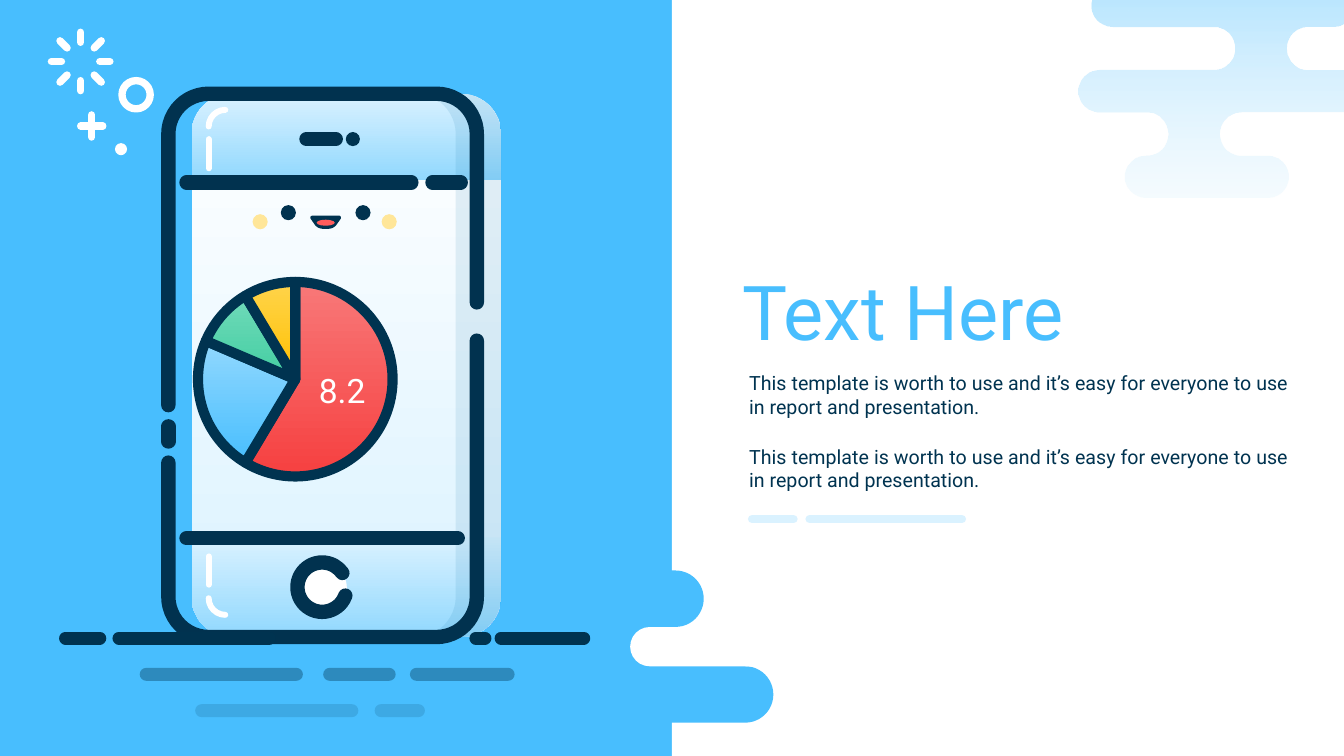
from dataclasses import dataclass
from math import atan2, cos, hypot, pi, radians, remainder, sin, tan

from lxml import etree
from pptx import Presentation
from pptx.chart.data import CategoryChartData
from pptx.dml.color import RGBColor
from pptx.enum.chart import XL_CHART_TYPE as ChartType, XL_LABEL_POSITION as LabelPosition
from pptx.enum.shapes import MSO_CONNECTOR as Connector, MSO_SHAPE as Shape
from pptx.enum.text import MSO_ANCHOR as Anchor, MSO_AUTO_SIZE as AutoSize, PP_ALIGN as Align
from pptx.oxml import parse_xml
from pptx.oxml.ns import nsdecls, qn
from pptx.util import Inches, Pt

WIDTH, HEIGHT = 13.33, 7.5
FONT = "Roboto"
WHITE, SKY, PALE, AZURE = "FFFFFF", "48BEFE", "DAF2FF", "91D8FE"
NAVY, INK = "01324F", "003350"


def colour(text):
    return RGBColor.from_string(text)


def set_alpha(element, percent):
    for tag in element.iter(qn("a:srgbClr")):
        etree.SubElement(tag, qn("a:alpha"), val=str(percent * 1000))


def paint(fill, paints):
    """Fill with one hex colour, or with a (top, bottom) gradient."""
    if isinstance(paints, str):
        fill.solid()
        fill.fore_color.rgb = colour(paints)
        return
    fill.gradient()
    fill.gradient_angle = 270
    for stop, paint_hex in zip(fill.gradient_stops, paints):
        stop.color.rgb = colour(paint_hex)


def round_corners(corners, steps=12):
    """Turn (x, y, radius) corners into points along a rounded outline."""
    points = []
    for i, (x, y, radius) in enumerate(corners):
        if not radius:
            points.append((x, y))
            continue
        before, after = corners[i - 1], corners[(i + 1) % len(corners)]
        a = atan2(before[1] - y, before[0] - x)
        turn = remainder(atan2(after[1] - y, after[0] - x) - a, 2 * pi)
        half = turn / 2
        reach = radius / abs(sin(half))
        cx, cy = x + reach * cos(a + half), y + reach * sin(a + half)
        tangent = radius / abs(tan(half))
        start = atan2(y + tangent * sin(a) - cy, x + tangent * cos(a) - cx)
        sweep = (pi - abs(turn)) * (-1 if turn > 0 else 1)
        angles = [start + sweep * k / steps for k in range(steps + 1)]
        points += [(cx + radius * cos(t), cy + radius * sin(t)) for t in angles]
    return points


@dataclass
class Region:
    """Drawing area whose lengths are inches from its own top left corner."""
    page: object
    left: float
    top: float

    def place(self, x, y):
        return Inches(self.left + x), Inches(self.top + y)

    def solid(self, shape, paints):
        shape.shadow.inherit = False
        paint(shape.fill, paints)
        shape.line.fill.background()
        return shape

    def preset(self, kind, x, y, width, height, paints):
        shape = self.page.shapes.add_shape(kind, *self.place(x, y), Inches(width), Inches(height))
        return self.solid(shape, paints)

    def pill(self, x, y, width, height, paints):
        self.preset(Shape.ROUNDED_RECTANGLE, x, y, width, height, paints).adjustments[0] = 0.5

    def oval(self, cx, cy, width, paints, height=None):
        height = height or width
        return self.preset(Shape.OVAL, cx - width / 2, cy - height / 2, width, height, paints)

    def freeform(self, corners, close):
        first, *rest = [self.place(x, y) for x, y in round_corners(corners)]
        builder = self.page.shapes.build_freeform(*first)
        builder.add_line_segments(rest, close=close)
        return builder.convert_to_shape()

    def outline(self, corners, paints):
        return self.solid(self.freeform(corners, True), paints)

    def ink(self, shape, paint_hex, points, alpha=None):
        """Give a shape a round-ended line and no fill."""
        shape.line.color.rgb = colour(paint_hex)
        shape.line.width = Pt(points)
        line = shape.element.spPr.find(qn("a:ln"))
        line.set("cap", "rnd")
        if alpha:
            set_alpha(line, alpha)

    def stroke(self, corners, paint_hex, points):
        shape = self.freeform(corners, False)
        shape.shadow.inherit = False
        shape.fill.background()
        self.ink(shape, paint_hex, points)

    def line(self, x1, y1, x2, y2, paint_hex, points, alpha=None):
        shape = self.page.shapes.add_connector(
            Connector.STRAIGHT, *self.place(x1, y1), *self.place(x2, y2))
        self.ink(shape, paint_hex, points, alpha)
        etree.SubElement(shape.element.spPr, qn("a:effectLst"))

    def arc(self, x, y, size, start, end, paint_hex, points):
        shape = self.preset(Shape.ARC, x, y, size, size, WHITE)
        shape.fill.background()
        shape.adjustments[0], shape.adjustments[1] = start * 0.6, end * 0.6
        self.ink(shape, paint_hex, points)


def draw_backdrop(page):
    page.background.fill.solid()
    page.background.fill.fore_color.rgb = colour(SKY)
    half = Region(page, WIDTH / 2, 0)
    half.preset(Shape.RECTANGLE, 0, 0, WIDTH / 2, HEIGHT, WHITE)
    draw_cloud(Region(page, 10.7, -0.15))
    wave = Region(page, 5.65, 5.66)
    wave.pill(0, 0.95, 2.02, 0.56, SKY)
    wave.pill(0.6, 0.56, 2.02, 0.39, WHITE)
    wave.pill(0, 0, 1.33, 0.56, SKY)


def draw_cloud(area):
    bars = [(0.13, 2.73), (1.55, 2.06), (0, 3.22), (0.89, 1.4), (0.46, 2.08)]
    row = 2.11 / len(bars)
    right = [(end, row * (i + k), row / 2) for i, (_, end) in enumerate(bars) for k in (0, 1)]
    left = [(start, row * (i + k), row / 2) for i, (start, _) in enumerate(bars) for k in (0, 1)]
    cloud = area.outline(right + left[::-1], ("B6E5FF", PALE))
    set_alpha(cloud.element.findall(".//" + qn("a:gs"))[-1], 27)


def draw_phone(area):
    left, right, top, bottom, r = 0.3, 3.37, 0.07, 5.46, 0.4
    glass = [(top, bottom, r, r, (WHITE, PALE)), (4.47, bottom, 0, r, (PALE, AZURE)),
             (top, 0.93, r, 0, (PALE, AZURE))]
    for y1, y2, r1, r2, paints in glass:
        area.outline([(left, y1, r1), (right, y1, r1), (right, y2, r2), (left, y2, r2)], paints)
    shade = area.outline([(2.52, top, 0), (right, top, r), (right, bottom, r),
                          (2.52, bottom, 0), (2.92, bottom, r), (2.92, top, r)], "0169A2")
    set_alpha(shade.element.spPr, 10)

    near, far, thick = 0.07, 3.13, 10.25
    for y, start, end in ((top, 3.16, 2.14), (bottom, 3.73, 2.52)):
        area.stroke([(near, start, 0), (near, y, r), (far, y, r), (far, end, 0)], NAVY, thick)
    area.line(near, 3.37, near, 3.52, NAVY, thick)
    for x1, x2, y in ((0.25, 2.48, 0.95), (2.69, 2.97, 0.95), (0.25, 2.94, 4.48), (1.44, 1.73, 0.52)):
        area.line(x1, y, x2, y, NAVY, thick)
    area.oval(1.9, 0.52, 0.14, INK)
    area.oval(1.6, 4.97, 0.48, WHITE)
    area.arc(1.35, 4.72, 0.49, 20, 325, NAVY, thick)
    for y1, y2, arc_top, start in ((0.52, 0.81, 0.23, 180), (4.66, 4.94, 4.91, 90)):
        area.line(0.47, y1, 0.47, y2, WHITE, 4.25)
        area.arc(0.47, arc_top, 0.33, start, start + 90, WHITE, 4.25)

    for side in (-1, 1):
        area.oval(1.63 + side * 0.37, 1.25, 0.15, NAVY)
        area.oval(1.62 + side * 0.64, 1.34, 0.15, "FFE699")
    area.outline([(1.46, 1.28, 0.02), (1.8, 1.28, 0.02), (1.71, 1.41, 0.1), (1.55, 1.41, 0.1)], INK)
    area.oval(1.63, 1.35, 0.18, "FF5C5C", 0.06)


def draw_sparkles(area):
    for angle in range(0, 360, 45):
        dx, dy = cos(radians(angle)), sin(radians(angle))
        area.line(0.29 + 0.19 * dx, 0.3 + 0.19 * dy, 0.29 + 0.29 * dx, 0.3 + 0.29 * dy, WHITE, 5.25)
    area.line(0.29, 0.94, 0.51, 0.94, WHITE, 5.25)
    area.line(0.4, 0.83, 0.4, 1.05, WHITE, 5.25)
    ring = area.oval(0.84, 0.63, 0.28, WHITE)
    ring.fill.background()
    area.ink(ring, WHITE, 5.25)
    area.oval(0.69, 1.17, 0.12, WHITE)


def draw_ground(area):
    rows = [(0, None, [(0.53, 2.02), (0, 0.34), (4.07, 4.16), (4.32, 5.14)]),
            (0.36, 36, [(0.8, 2.29), (2.62, 3.21), (3.48, 4.39)]),
            (0.72, 15, [(1.35, 2.84), (3.13, 3.5)])]
    for y, alpha, dashes in rows:
        for start, end in dashes:
            area.line(start, y, end, y, INK, 9.25, alpha)


def draw_pie(area):
    data = CategoryChartData()
    data.categories = ["1", "2", "3", "4"]
    data.add_series("Series 1", (8.2, 3.2, 1.4, 1.2))
    chart = area.page.shapes.add_chart(
        ChartType.PIE, *area.place(0, 0), Inches(3.43), Inches(2.29), data).chart
    chart.has_legend = chart.has_title = False
    chart.font.size, chart.font.name = Pt(10), FONT
    chart.font.color.rgb = colour("000000")
    plot = chart.plots[0]
    plot.vary_by_categories = True
    slices = [("F87878", "F64040"), (AZURE, SKY), ("70DAB9", "43CEA2"), ("FFD44B", "FFC000")]
    for i, paints in enumerate(slices):
        style = plot.series[0].points[i].format
        paint(style.fill, paints)
        style.line.color.rgb = colour(INK)
        style.line.width = Pt(7.25)
    label = plot.series[0].points[0].data_label
    label.font.size, label.font.name = Pt(24), FONT
    label.font.color.rgb = colour(WHITE)
    label.position = LabelPosition.CENTER
    share = {"x": 0.144, "y": 0.06, "w": 0.563, "h": 0.843}
    spots = "".join(f'<c:{key} val="{value}"/>' for key, value in share.items())
    area_xml = chart.element.find(".//" + qn("c:plotArea"))
    for old in area_xml.findall(qn("c:layout")):
        area_xml.remove(old)
    area_xml.insert(0, parse_xml(
        f'<c:layout {nsdecls("c")}><c:manualLayout><c:layoutTarget val="inner"/>'
        f'<c:xMode val="edge"/><c:yMode val="edge"/>{spots}</c:manualLayout></c:layout>'))


def fill_text(area, box, y, width, height, lines, size, paint_hex, align, gap=0):
    box.left, box.top = area.place(0, y)
    box.width, box.height = Inches(width), Inches(height)
    box.element.getparent().append(box.element)
    frame = box.text_frame
    frame.text = "\n".join(lines)
    frame.auto_size, frame.vertical_anchor, frame.word_wrap = AutoSize.NONE, Anchor.TOP, True
    for i, para in enumerate(frame.paragraphs):
        settings = para._p.get_or_add_pPr()
        settings.set("marL", "0")
        settings.set("indent", "0")
        etree.SubElement(settings, qn("a:buNone"))
        para.alignment, para.space_before = align, Pt(gap if i else 0)
        para.font.size, para.font.name = Pt(size), FONT
        para.font.color.rgb = colour(paint_hex)


def write_copy(page):
    message = "This template is worth to use and it’s easy for everyone to use in report and presentation."
    title, body = page.placeholders
    fill_text(Region(page, 7.26, 2.58), title, 0, 3.81, 1.01, ["Text Here"], 54, SKY, Align.LEFT)
    area = Region(page, 7.33, 3.63)
    fill_text(area, body, 0, 5.55, 1.29, [message] * 2, 14, INK, Align.JUSTIFY, 19)
    for start, end in ((0.13, 0.54), (0.7, 2.21)):
        area.line(start, 1.52, end, 1.52, PALE, 6)


def main():
    deck = Presentation()
    deck.slide_width, deck.slide_height = Inches(WIDTH), Inches(HEIGHT)
    page = deck.slides.add_slide(deck.slide_layouts[1])
    draw_backdrop(page)
    draw_phone(Region(page, 1.6, 0.86))
    draw_sparkles(Region(page, 0.51, 0.31))
    draw_ground(Region(page, 0.65, 6.33))
    draw_pie(Region(page, 1.47, 2.66))
    write_copy(page)
    deck.save("out.pptx")


if __name__ == "__main__":
    main()
